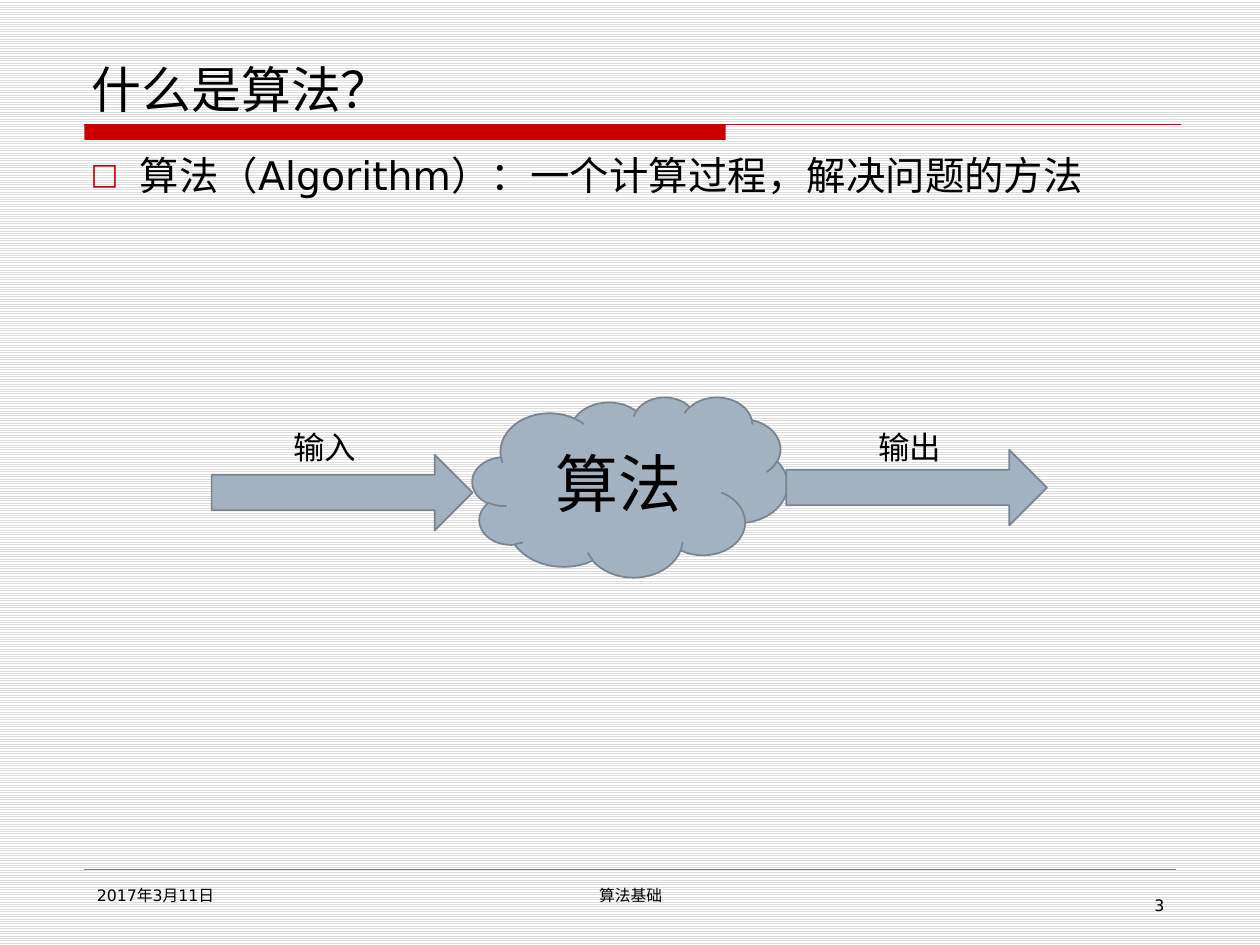
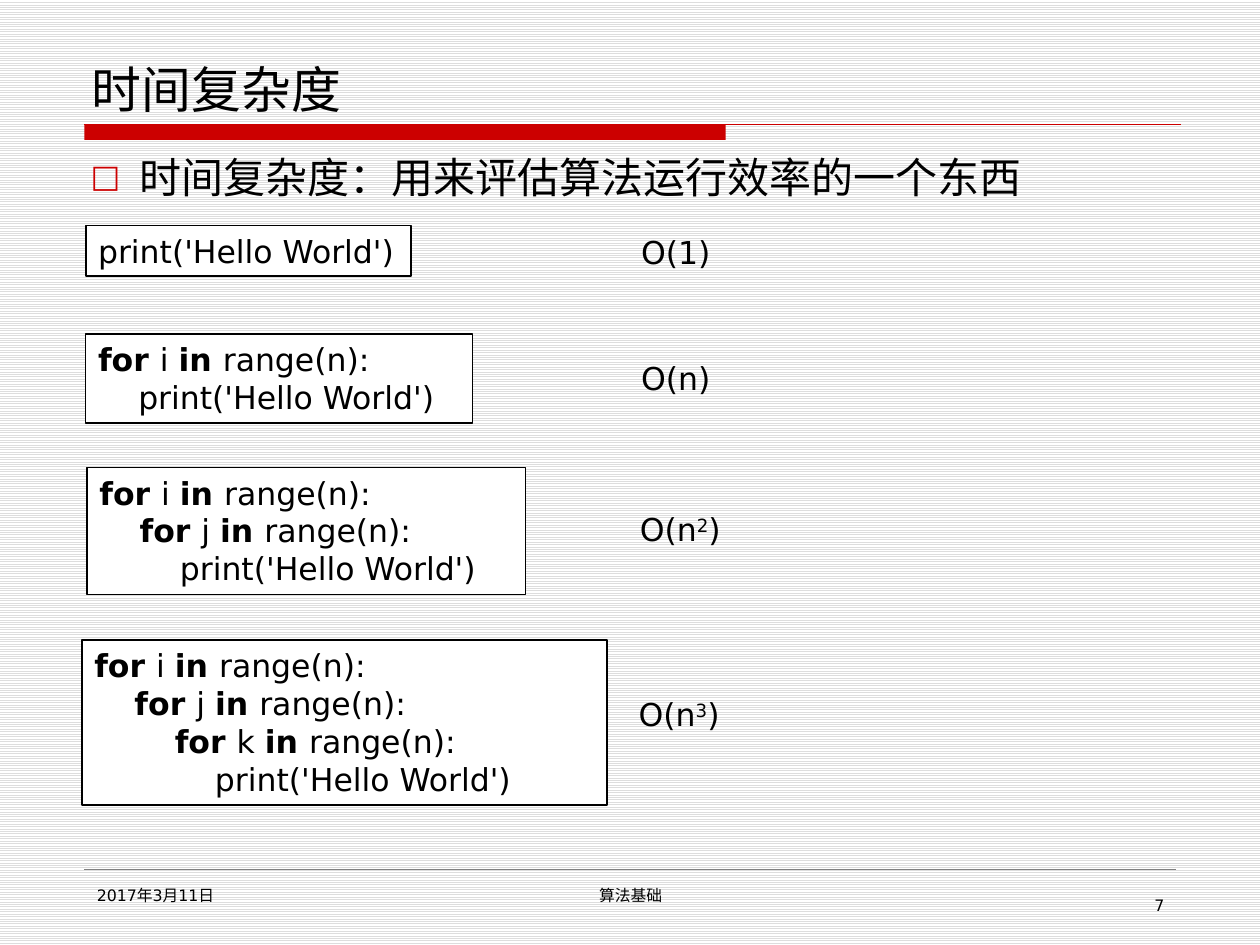
"""Build two slides that introduce algorithms and time complexity."""
from lxml.etree import SubElement
from pptx import Presentation
from pptx.dml.color import RGBColor
from pptx.enum.dml import MSO_PATTERN
from pptx.enum.shapes import MSO_CONNECTOR, MSO_SHAPE as SHAPE
from pptx.enum.text import MSO_ANCHOR as ANCHOR, MSO_AUTO_SIZE, PP_ALIGN as ALIGN
from pptx.oxml.ns import qn
from pptx.util import Inches, Pt

RED = RGBColor(0xCC, 0x00, 0x00)
BLACK = RGBColor(0x00, 0x00, 0x00)
WHITE = RGBColor(0xFF, 0xFF, 0xFF)
STRIPE = RGBColor(0xDD, 0xDD, 0xDD)
GREY = RGBColor(0x80, 0x80, 0x80)
STEEL = RGBColor(0xA3, 0xB2, 0xC1)
SLATE = RGBColor(0x79, 0x84, 0x8F)
FONT = "DejaVu Sans"
COLUMNS, ROWS = 100, 75
CODE_INDENT = Pt(23)


def add_span(para, text, size=18, bold=False, raised=False):
    span = para.add_run()
    span.text = text
    span.font.name, span.font.size, span.font.bold = FONT, Pt(size), bold
    span.font.color.rgb = BLACK
    if raised:
        span.font._element.set("baseline", "30000")
    return span


class Deck:
    """Shared style, grid and current page of the presentation."""

    def __init__(self):
        self.show = Presentation()
        self.show.slide_width, self.show.slide_height = Inches(10), Inches(7.5)
        self.page = None

    def x(self, columns):
        return round(self.show.slide_width * columns / COLUMNS)

    def y(self, rows):
        return round(self.show.slide_height * rows / ROWS)

    def area(self, left, top, width, height):
        return self.x(left), self.y(top), self.x(width), self.y(height)

    def start_page(self, title, number):
        self.page = self.show.slides.add_slide(self.show.slide_layouts[5])
        backdrop = self.page.background.fill
        backdrop.patterned()
        backdrop.pattern = MSO_PATTERN.LIGHT_HORIZONTAL
        backdrop.fore_color.rgb, backdrop.back_color.rgb = STRIPE, WHITE
        self.title(title)
        self.shape(SHAPE.RECTANGLE, 6.7, 9.9, 50.9, 1.2, RED)
        self.rule(9.9, 93.7, RED, 0.75)
        self.rule(69, 93.3, GREY, 0.25)
        self.text("2017年3月11日", 6.7, 69.8, 21.7, 3.7, size=9)
        self.text("算法基础", 34.2, 69.8, 31.7, 3.7, size=9, align=ALIGN.CENTER)
        self.text(str(number), 71.7, 70.6, 21.7, 2.9, size=9, align=ALIGN.RIGHT)

    def title(self, text):
        box = self.page.shapes.title
        box.left, box.top, box.width, box.height = self.area(6.3, 3.3, 87.5, 6.6)
        frame = box.text_frame
        frame.auto_size = MSO_AUTO_SIZE.NONE
        frame.vertical_anchor = ANCHOR.BOTTOM
        frame.paragraphs[0].alignment = ALIGN.LEFT
        add_span(frame.paragraphs[0], text, size=28.5)

    def rule(self, row, end, color, weight):
        line = self.page.shapes.add_connector(
            MSO_CONNECTOR.STRAIGHT, self.x(6.7), self.y(row), self.x(end), self.y(row))
        line.line.color.rgb, line.line.width = color, Pt(weight)
        SubElement(line._element.spPr, qn("a:effectLst"))

    def text(self, text, left, top, width, height, size=18, align=ALIGN.LEFT):
        box = self.page.shapes.add_textbox(*self.area(left, top, width, height))
        box.text_frame.word_wrap = True
        para = box.text_frame.paragraphs[0]
        para.alignment = align
        add_span(para, text, size=size)
        return para

    def bullet(self, text, size):
        para = self.text(text, 6.2, 11.5, 87.5, 54.3, size=size)
        props = para._p.get_or_add_pPr()
        props.set("marL", str(Inches(0.39)))
        props.set("indent", str(-Inches(0.39)))
        tint = SubElement(props, qn("a:buClr"))
        SubElement(tint, qn("a:srgbClr"), val=str(RED))
        SubElement(props, qn("a:buSzPct"), val="75000")
        SubElement(props, qn("a:buFont"), typeface=FONT)
        SubElement(props, qn("a:buChar"), char="□")

    def shape(self, kind, left, top, width, height, fill, line=None):
        box = self.page.shapes.add_shape(kind, *self.area(left, top, width, height))
        box.shadow.inherit = False
        box.fill.solid()
        box.fill.fore_color.rgb = fill
        if line is None:
            box.line.fill.background()
        else:
            box.line.color.rgb, box.line.width = line, Pt(1)
        return box

    def cloud(self, text, *area):
        frame = self.shape(SHAPE.CLOUD, *area, STEEL, SLATE).text_frame
        frame.vertical_anchor = ANCHOR.MIDDLE
        frame.paragraphs[0].alignment = ALIGN.CENTER
        add_span(frame.paragraphs[0], text, size=36)

    def arrow(self, left, top):
        arrow = self.shape(SHAPE.RIGHT_ARROW, left, top, 20.7, 6, STEEL, SLATE)
        arrow.adjustments[0], arrow.adjustments[1] = 0.47, 0.5

    def nested_loops(self, counters, *area):
        frame = self.shape(SHAPE.RECTANGLE, *area, WHITE, BLACK).text_frame
        frame.word_wrap = True
        frame.vertical_anchor = ANCHOR.TOP
        for depth in range(len(counters) + 1):
            para = frame.add_paragraph() if depth else frame.paragraphs[0]
            para.alignment = ALIGN.LEFT
            para._p.get_or_add_pPr().set("marL", str(CODE_INDENT * depth))
            if depth == len(counters):
                add_span(para, "print('Hello World')")
            else:
                add_span(para, "for ", bold=True)
                add_span(para, counters[depth] + " ")
                add_span(para, "in ", bold=True)
                add_span(para, "range(n):")

    def order(self, base, power, left, top, width):
        para = self.text("O(" + base, left, top, width, 4)
        if power:
            add_span(para, power, raised=True)
        add_span(para, ")")


def build_definition(deck):
    deck.start_page("什么是算法？", 3)
    deck.bullet("算法（Algorithm）：一个计算过程，解决问题的方法", 22.5)
    deck.cloud("算法", 37.5, 31.5, 25, 14.3)
    deck.arrow(16.8, 36.1)
    deck.arrow(62.4, 35.7)
    for label, left in (("输入", 22.3), ("输出", 68.7)):
        deck.text(label, left, 33.5, 7.9, 4)


def build_complexity(deck):
    deck.start_page("时间复杂度", 7)
    deck.bullet("时间复杂度：用来评估算法运行效率的一个东西", 24)
    examples = (
        ("", (6.8, 17.9, 25.8, 4), ("1", "", 49.9, 18, 8.1)),
        ("i", (6.8, 26.5, 30.7, 7.1), ("n", "", 49.9, 28, 8.1)),
        ("ij", (6.9, 37.1, 34.8, 10.1), ("n", "2", 49.8, 40, 10.3)),
        ("ijk", (6.5, 50.8, 41.7, 13.1), ("n", "3", 49.7, 54.7, 9.2)),
    )
    for counters, area, order in examples:
        deck.nested_loops(counters, *area)
        deck.order(*order)


def main():
    deck = Deck()
    build_definition(deck)
    build_complexity(deck)
    deck.show.save("out.pptx")


if __name__ == "__main__":
    main()
